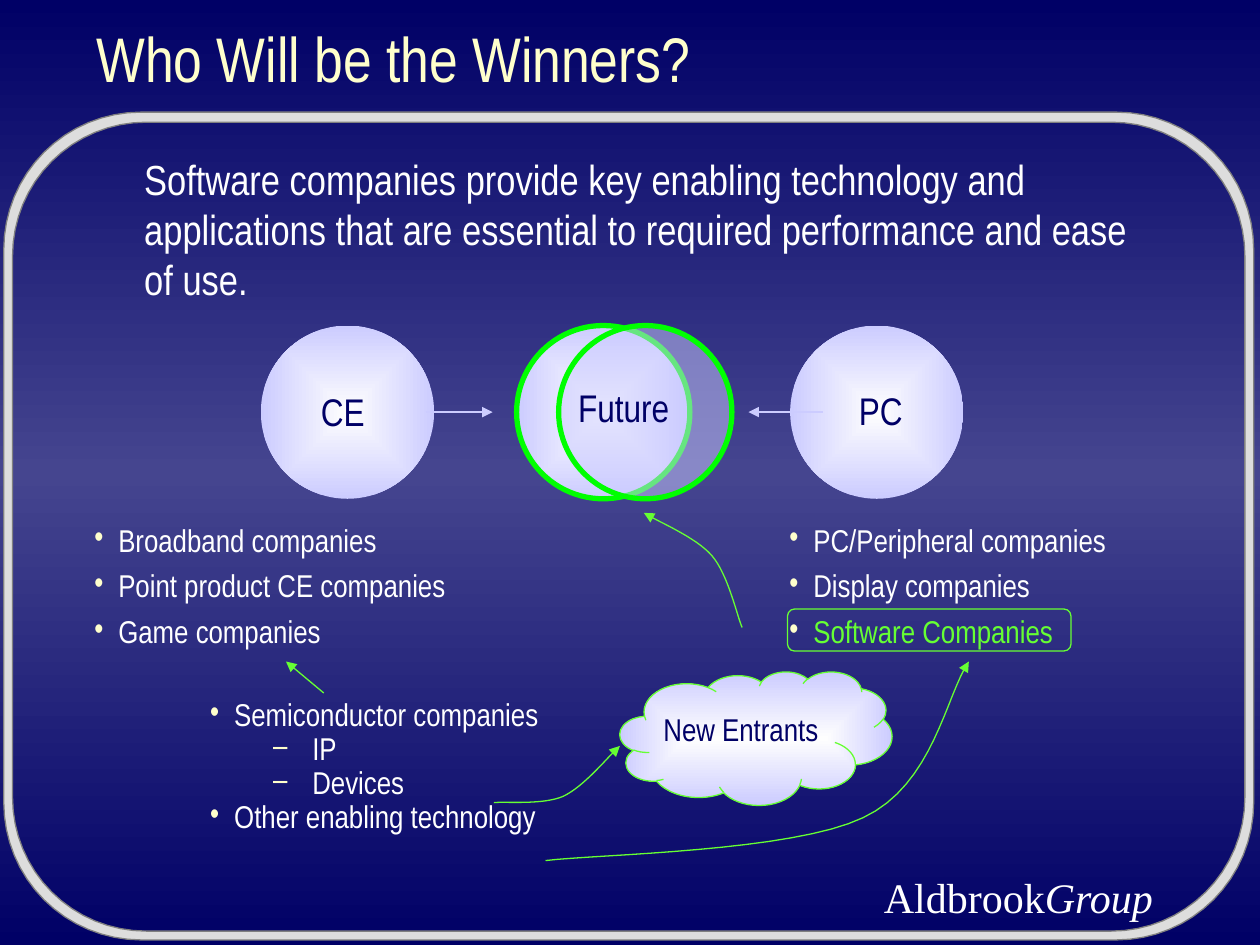
from dataclasses import dataclass
from math import cos, pi, sin
from typing import NamedTuple, Optional

from lxml.etree import SubElement
from pptx import Presentation
from pptx.dml.color import RGBColor as Rgb
from pptx.enum.shapes import MSO_CONNECTOR as Link, MSO_SHAPE as Preset
from pptx.enum.text import MSO_ANCHOR as Anchor, PP_ALIGN as Align
from pptx.oxml.ns import qn
from pptx.util import Inches, Pt

COLORS = {"navy": "000066", "indigo": "45458F", "cream": "FFFFCC", "white": "FFFFFF",
          "glow": "FEFEFE", "lilac": "CCCCFF", "green": "00FF00", "lime": "66FF33",
          "silver": "DDDDDD", "gray": "808080"}
NARROW, SERIF = "Arial Narrow", "Times New Roman"
ORB_GRADIENT = ((0, "glow"), (100, "lilac"))

deck = Presentation()
deck.slide_width, deck.slide_height = Inches(10), Inches(7.5)
page = deck.slides.add_slide(deck.slide_layouts[6])
COL, ROW = deck.slide_width / 120, deck.slide_height / 90


class Point(NamedTuple):
    col: float
    row: float


class Area(NamedTuple):
    col: float
    row: float
    cols: float
    rows: float


class Span(NamedTuple):
    text: str
    color: str = "white"
    italic: bool = False


@dataclass
class Entry:
    spans: list
    bullet: Optional[str] = None
    left: float = 0
    hang: float = 0


@dataclass
class TextBlock:
    area: Area
    entries: list
    size: float = 18
    face: str = NARROW
    align: Align = Align.LEFT
    anchor: Anchor = Anchor.TOP
    wrap: bool = True
    before: float = 0
    spacing: float = 1.0


def emu(area) -> list:
    return [round(v * (ROW if i % 2 else COL)) for i, v in enumerate(area)]


def rgb(name: str) -> Rgb:
    return Rgb.from_string(COLORS[name])


def plain(text: str, color: str = "white") -> list:
    return [Entry([Span(text, color)])]


def item(text: str, color: str = "white") -> Entry:
    return Entry([Span(text, color)], "•", 0.19, 0.19)


def sub_item(text: str) -> Entry:
    return Entry([Span(text)], "–", 0.81, 0.31)


def set_gradient(owner, fill, stops, angle: Optional[int] = None) -> None:
    """Linear gradient when an angle is given, else one spreading from the centre."""
    fill.solid()
    solid = owner.find(".//" + qn("a:solidFill"))
    parent = solid.getparent()
    grad = SubElement(parent, qn("a:gradFill"), rotWithShape="1")
    parent.replace(solid, grad)
    stop_list = SubElement(grad, qn("a:gsLst"))
    for share, name in stops:
        stop = SubElement(stop_list, qn("a:gs"), pos=str(share * 1000))
        SubElement(stop, qn("a:srgbClr"), val=COLORS[name])
    if angle is None:
        shade = SubElement(grad, qn("a:path"), path="rect")
        SubElement(shade, qn("a:fillToRect"), {side: "50000" for side in "ltrb"})
    else:
        SubElement(grad, qn("a:lin"), ang=str(angle * 60000), scaled="0")


def set_line(shape, color: Optional[str], width: float = 0.75, arrow: bool = False) -> None:
    if color is None:
        shape.line.fill.background()
        return
    shape.line.color.rgb = rgb(color)
    shape.line.width = Pt(width)
    if arrow:
        SubElement(shape.element.find(".//" + qn("a:ln")), qn("a:tailEnd"), type="triangle")


def draw_shape(preset: Preset, area: Area, line: Optional[str] = None, width: float = 0.75,
               gradient: bool = True):
    shape = page.shapes.add_shape(preset, *emu(area))
    shape.shadow.inherit = False
    set_line(shape, line, width)
    if gradient:
        set_gradient(shape.element, shape.fill, ORB_GRADIENT)
    else:
        shape.fill.background()
    return shape


def draw_arrow(start: Point, end: Point, color: str, width: float) -> None:
    arrow = page.shapes.add_connector(Link.STRAIGHT, *emu(start), *emu(end))
    set_line(arrow, color, width, arrow=True)
    SubElement(arrow.element.spPr, qn("a:effectLst"))


def draw_outline(contours: list, closed: bool):
    builder = page.shapes.build_freeform(*emu(contours[0][0]), scale=1.0)
    for index, contour in enumerate(contours):
        if index:
            builder.move_to(*emu(contour[0]))
        builder.add_line_segments([emu(p) for p in contour[1:]], close=closed)
    shape = builder.convert_to_shape()
    shape.shadow.inherit = False
    return shape


def draw_curve(knots: list, steps: int = 16) -> None:
    """Arrow along cubic Bezier pieces; each piece shares its end with the next."""
    track = [knots[0]]
    for first in range(0, len(knots) - 1, 3):
        piece = knots[first:first + 4]
        for step in range(1, steps + 1):
            t = step / steps
            weights = ((1 - t) ** 3, 3 * t * (1 - t) ** 2, 3 * t * t * (1 - t), t ** 3)
            track.append(Point(*(sum(w * v for w, v in zip(weights, axis))
                                 for axis in zip(*piece))))
    curve = draw_outline([track], closed=False)
    curve.fill.background()
    set_line(curve, "lime", arrow=True)


def rounded_ring(area: Area, radius: float, steps: int = 16) -> list:
    left, top, cols, rows = area
    xs, ys = (left + radius, left + cols - radius), (top + radius, top + rows - radius)
    points = []
    for quarter, (x, y) in enumerate(((1, 1), (0, 1), (0, 0), (1, 0))):
        for step in range(steps + 1):
            angle = (quarter + step / steps) * pi / 2
            points.append(Point(xs[x] + radius * cos(angle), ys[y] + radius * sin(angle)))
    return points


def draw_text(block: TextBlock) -> None:
    frame = page.shapes.add_textbox(*emu(block.area)).text_frame
    frame.word_wrap, frame.vertical_anchor = block.wrap, block.anchor
    for index, entry in enumerate(block.entries):
        para = frame.add_paragraph() if index else frame.paragraphs[0]
        formats = {"alignment": block.align, "line_spacing": block.spacing,
                   "space_before": Pt(block.before if index else 0)}
        for name, value in formats.items():
            setattr(para, name, value)
        props = para._p.get_or_add_pPr()
        props.set("marL", str(Inches(entry.left)))
        props.set("indent", str(-Inches(entry.hang)))
        if entry.bullet:
            tint = SubElement(props, qn("a:buClr"))
            SubElement(tint, qn("a:srgbClr"), val=COLORS["cream"])
            SubElement(props, qn("a:buFont"), typeface=block.face)
            SubElement(props, qn("a:buChar"), char=entry.bullet)
        for span in entry.spans:
            run = para.add_run()
            run.text = span.text
            for name, value in {"name": block.face, "size": Pt(block.size),
                                "italic": span.italic}.items():
                setattr(run.font, name, value)
            run.font.color.rgb = rgb(span.color)


# Background and rounded frame
set_gradient(page.element, page.background.fill,
             ((0, "navy"), (50, "indigo"), (100, "navy")), angle=90)
border = draw_outline([rounded_ring(Area(0.36, 10.68, 119.04, 78.84), 13.08),
                       rounded_ring(Area(1.2, 11.64, 117.36, 77.04), 12.72)[::-1]], closed=True)
border.fill.solid()
border.fill.fore_color.rgb = rgb("silver")
set_line(border, "gray")

# Title, statement and firm name
draw_text(TextBlock(Area(83, 82.44, 28.3, 6), [Entry([Span("Aldbrook"), Span("Group", italic=True)])],
                    24, SERIF, wrap=False))
draw_text(TextBlock(Area(8, 0, 105, 11), plain("Who Will be the Winners?", "cream"), 36,
                    anchor=Anchor.MIDDLE))
statement = ("Software companies provide key enabling technology and applications "
             "that are essential to required performance and ease of use.")
draw_text(TextBlock(Area(8, 14, 102, 23), [Entry([Span(statement)], left=0.38)], 24))

# Circles: two markets converging on the overlapping pair
for col, line in ((24.84, None), (75.25, None), (49.2, "green")):
    draw_shape(Preset.OVAL, Area(col, 31, 16.5, 16.5), line, 3)
overlap = draw_shape(Preset.OVAL, Area(53.2, 31, 16.5, 16.5), "green", 3, gradient=False)
overlap.fill.solid()
overlap.fill.fore_color.rgb = rgb("lilac")
SubElement(overlap.element.spPr.find(qn("a:solidFill"))[0], qn("a:alpha"), val="50000")
for start, end in ((40.56, 46.92), (78.36, 71.28)):
    draw_arrow(Point(start, 39.25), Point(end, 39.25), "lilac", 1.5)
for text, center, top in (("CE", 32.64, 36.36), ("Future", 59.4, 36), ("PC", 83.88, 36.24)):
    draw_text(TextBlock(Area(center - 6, top, 12, 5.64), plain(text, "navy"), 22,
                        align=Align.CENTER))

# Company lists
draw_text(TextBlock(Area(7.8, 49, 52, 23), [
    item("Broadband companies"), item("Point product CE companies"),
    item("Game companies")], before=4.5))
draw_text(TextBlock(Area(74, 49, 44, 13), [
    item("PC/Peripheral companies"), item("Display companies"),
    item("Software Companies", "lime")], before=4.5))
draw_text(TextBlock(Area(18.84, 66, 52, 13), [
    item("Semiconductor companies"), sub_item("IP"), sub_item("Devices"),
    item("Other enabling technology")], spacing=0.9))

# New entrants cloud, arrows and highlight
draw_arrow(Point(30.84, 66), Point(27.24, 63), "lime", 0.75)
draw_shape(Preset.CLOUD, Area(59.04, 63.96, 25.92, 12.72), "lime")
draw_text(TextBlock(Area(62, 67, 21, 6.7), plain("New Entrants", "navy")))
for knots in (
    [(70.68, 59.76), (70.2, 58.68), (69.36, 54.72), (67.8, 52.92),
     (66.24, 51.12), (62.64, 49.68), (61.32, 48.84)],
    [(47.04, 76.44), (48.12, 76.32), (51.72, 76.68), (53.64, 75.84),
     (55.68, 74.88), (57.96, 72), (59.04, 71.04)],
    [(51.96, 81.96), (57, 81.36), (75.48, 81.12), (82.2, 77.88),
     (88.92, 74.76), (90.12, 66.12), (92.28, 63)],
):
    draw_curve([Point(*knot) for knot in knots])
draw_shape(Preset.ROUNDED_RECTANGLE, Area(75, 58, 27, 4), "lime", gradient=False)

deck.save("out.pptx")
